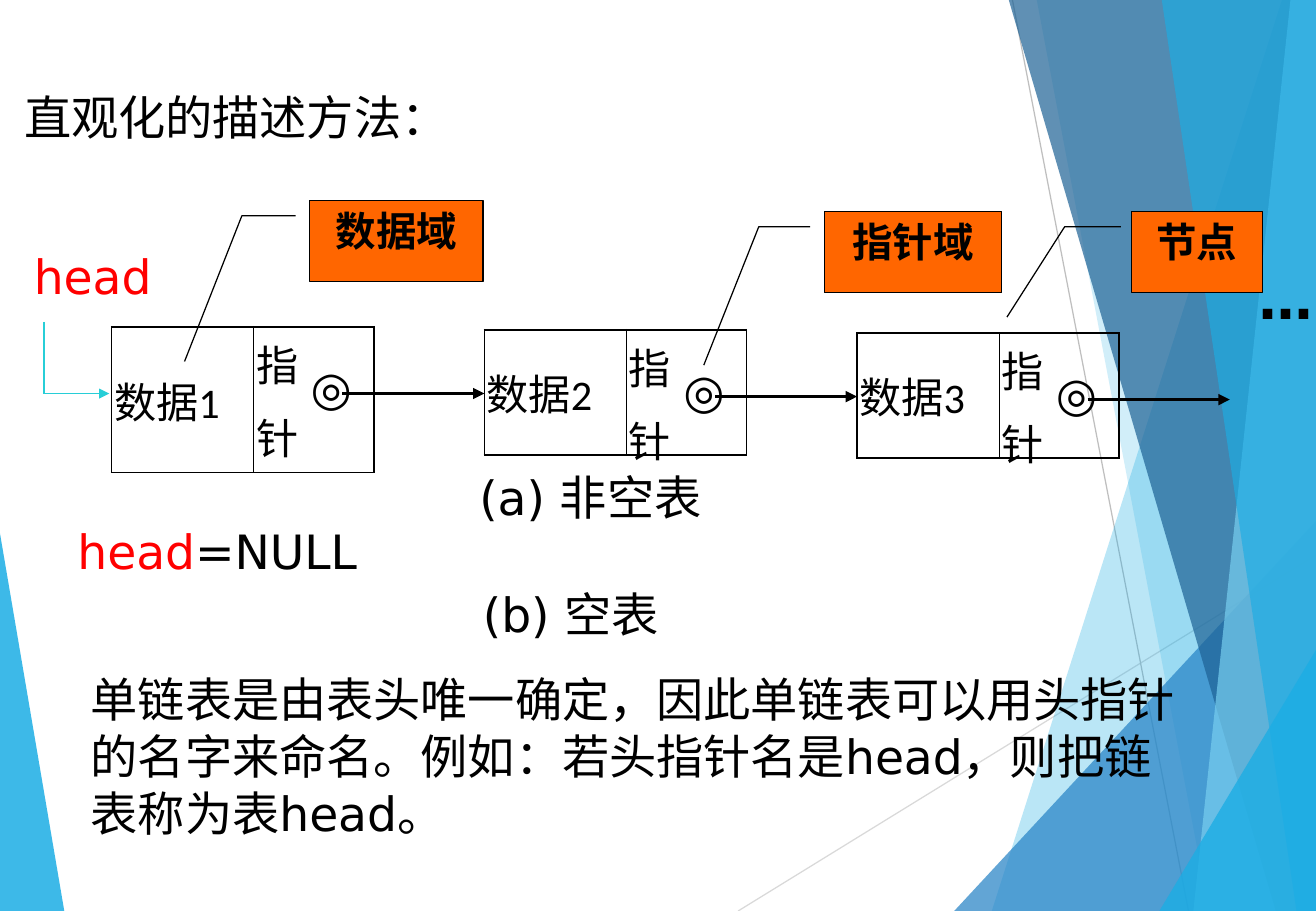
from dataclasses import dataclass

from lxml import etree
from pptx import Presentation
from pptx.dml.color import RGBColor
from pptx.enum.shapes import MSO_CONNECTOR, MSO_SHAPE
from pptx.enum.text import MSO_ANCHOR, MSO_AUTO_SIZE, PP_ALIGN
from pptx.oxml.ns import qn
from pptx.util import Inches, Pt

STRAIGHT = MSO_CONNECTOR.STRAIGHT
CALLOUT = MSO_SHAPE.LINE_CALLOUT_2
TOP, MIDDLE = MSO_ANCHOR.TOP, MSO_ANCHOR.MIDDLE
LEFT, CENTER = PP_ALIGN.LEFT, PP_ALIGN.CENTER
FIT_SHAPE = MSO_AUTO_SIZE.SHAPE_TO_FIT_TEXT
WIDTH, HEIGHT = 10.84, 7.5


@dataclass(frozen=True)
class Theme:
    ink: str = "000000"
    accent: str = "FF0000"
    label_fill: str = "FF6600"
    head_line: str = "27CED7"
    sky: str = "1CADE4"
    pale: str = "77CEEF"
    blue: str = "2683C6"
    navy: str = "1D6295"
    light_gray: str = "D9D9D9"
    gray: str = "BFBFBF"
    body_font: str = "DejaVu Sans"
    cell_font: str = "Calibri"
    label_font: str = "Arial"
    ring_font: str = "Times New Roman"
    body_size: float = 28
    cell_size: float = 25
    label_size: float = 24
    dots_size: float = 32
    body_space: float = 17.5
    cell_space: float = 7


THEME = Theme()


def rgb(color):
    return RGBColor.from_string(color)


def write_text(frame, paragraphs, *, size=THEME.body_size, font=THEME.body_font,
               color=THEME.ink, bold=False, align=LEFT, before=0):
    """Each paragraph is a string or a list of (text, color) spans."""
    for index, content in enumerate(paragraphs):
        para = frame.add_paragraph() if index else frame.paragraphs[0]
        para.alignment = align
        para.space_before = Pt(before)
        spans = [(content, color)] if isinstance(content, str) else content
        for text, span_color in spans:
            span = para.add_run()
            span.text = text
            span.font.size = Pt(size)
            span.font.name = font
            span.font.bold = bold
            span.font.color.rgb = rgb(span_color)


def add_text(page, text, left, top, width, height, wrap=True, **style):
    box = page.shapes.add_textbox(Inches(left), Inches(top), Inches(width), Inches(height))
    box.text_frame.word_wrap = wrap
    box.text_frame.auto_size = FIT_SHAPE
    write_text(box.text_frame, [text], **style)


def add_line(page, start, end, color, weight, arrow=False):
    line = page.shapes.add_connector(STRAIGHT, *map(Inches, start + end))
    line.line.color.rgb = rgb(color)
    line.line.width = Pt(weight)
    properties = line._element.spPr
    if arrow:
        etree.SubElement(properties.find(qn("a:ln")), qn("a:tailEnd"), type="triangle")
    etree.SubElement(properties, qn("a:effectLst"))


def add_facet(page, points, color, opacity):
    corners = [(Inches(x), Inches(y)) for x, y in points]
    builder = page.shapes.build_freeform(*corners[0])
    builder.add_line_segments(corners[1:], close=True)
    facet = builder.convert_to_shape()
    facet.shadow.inherit = False
    facet.line.fill.background()
    facet.fill.solid()
    facet.fill.fore_color.rgb = rgb(color)
    tint = facet._element.spPr.find(qn("a:solidFill"))[0]
    etree.SubElement(tint, qn("a:alpha"), val=str(opacity * 1000))


def set_borders(cell, **weights):
    properties = cell._tc.get_or_add_tcPr()
    for side, weight in weights.items():
        border = etree.SubElement(properties, qn(f"a:ln{side}"), w=str(Pt(weight)))
        paint = etree.SubElement(border, qn("a:solidFill"))
        etree.SubElement(paint, qn("a:srgbClr"), val=THEME.ink)


def add_node(page, data, left, top):
    """A node: data cell, pointer cell, ring and outgoing arrow."""
    widths, outer, inner = (1.17, 0.99), 1.08, 0.45
    table = page.shapes.add_table(1, 2, Inches(left), Inches(top),
                                  Inches(sum(widths)), Inches(1.01)).table
    table.first_row = table.horz_banding = False
    contents = ([data], ["指", "针"])
    sides = ((outer, inner), (inner, outer))
    for index, (width, paragraphs, (west, east)) in enumerate(zip(widths, contents, sides)):
        table.columns[index].width = Inches(width)
        cell = table.cell(0, index)
        cell.vertical_anchor = MIDDLE
        cell.margin_left = cell.margin_right = Inches(0.02)
        set_borders(cell, L=west, R=east, T=outer, B=outer)
        cell.fill.background()
        write_text(cell.text_frame, paragraphs, size=THEME.cell_size,
                   font=THEME.cell_font, before=THEME.cell_space)
    arrow_y = top + 0.55
    add_line(page, (left + 1.9, arrow_y), (left + 3.07, arrow_y), THEME.ink, 2.25, arrow=True)
    add_text(page, "◎", left + 1.54, top + 0.21, 0.59, 0.57, wrap=False, font=THEME.ring_font)


def add_callout(page, text, left, top, width, bend, tip):
    """Bend is an x fraction, tip an (x, y) fraction of the label's size."""
    label = page.shapes.add_shape(CALLOUT, Inches(left), Inches(top), Inches(width), Inches(0.67))
    tip_x, tip_y = tip
    for index, value in enumerate((0.19, -0.08, 0.19, bend, tip_y, tip_x)):
        label.adjustments[index] = value
    label.shadow.inherit = False
    label.fill.solid()
    label.fill.fore_color.rgb = rgb(THEME.label_fill)
    label.line.color.rgb = rgb(THEME.ink)
    label.line.width = Pt(0.75)
    label.text_frame.vertical_anchor = TOP
    write_text(label.text_frame, [text], size=THEME.label_size, font=THEME.label_font,
               bold=True, align=CENTER)


def add_background(page):
    add_facet(page, [(0, 4.39), (0.53, HEIGHT), (0, HEIGHT)], THEME.sky, 85)
    add_line(page, (6.08, HEIGHT), (WIDTH, 4.57), THEME.light_gray, 0.75)
    add_line(page, (8.34, 0), (9.79, HEIGHT), THEME.gray, 0.75)
    # Facets that reach the right edge: top x, bottom x, color, opacity
    top_right, bottom_right = (WIDTH, 0), (WIDTH, HEIGHT)

    def add_band(top_x, bottom_x, color, opacity):
        points = [(top_x, 0), (bottom_x, HEIGHT), bottom_right, top_right]
        add_facet(page, points, color, opacity)

    def add_corner(left, top, color, opacity):
        add_facet(page, [(left, HEIGHT), (WIDTH, top), bottom_right], color, opacity)

    add_band(10.56, 8.17, THEME.sky, 30)
    add_band(8.54, 9.96, THEME.sky, 20)
    add_corner(7.86, 4.29, THEME.blue, 72)
    add_band(8.31, 10.51, THEME.navy, 70)
    add_band(10.63, 9.83, THEME.pale, 70)
    add_band(9.57, 10.68, THEME.sky, 65)
    add_corner(9.55, 5.35, THEME.sky, 80)


def main():
    deck = Presentation()
    deck.slide_width, deck.slide_height = Inches(WIDTH), Inches(HEIGHT)
    page = deck.slides.add_slide(deck.slide_layouts[6])
    add_background(page)

    # Linked nodes
    for index in range(3):
        add_node(page, f"数据{index + 1}", 0.92 + 3.07 * index, 2.69 + 0.025 * index)

    # Labels
    add_callout(page, "数据域", 2.55, 1.65, 1.43, -0.39, (-0.72, 1.98))
    add_callout(page, "指针域", 6.79, 1.74, 1.46, -0.37, (-0.68, 1.89))
    add_text(page, "…", 10.27, 2.14, 0.58, 0.64, wrap=False, size=THEME.dots_size, bold=True)
    add_callout(page, "节点", 9.32, 1.74, 1.08, -0.51, (-0.95, 1.3))

    # Head pointer
    add_line(page, (0.36, 3.24), (0.9, 3.24), THEME.head_line, 1, arrow=True)
    add_line(page, (0.36, 2.65), (0.36, 3.24), THEME.head_line, 1)

    # Title, captions and explanation
    head = ("head", THEME.accent)
    for text, left, top, width, height in (
        ("直观化的描述方法：", 0.1, 0.68, 6.05, 0.57),
        ("单链表是由表头唯一确定，因此单链表可以用头指针的名字来命名。"
         "例如：若头指针名是head，则把链表称为表head。", 0.65, 5.47, 9.3, 1.5),
        ([head], 0.18, 1.99, 1.81, 0.57),
        ("(a) 非空表", 3.85, 3.81, 5.06, 0.57),
        ([head, ("=NULL", THEME.ink)], 0.54, 4.25, 4.24, 0.57),
        ("(b) 空表", 3.88, 4.77, 5.06, 0.57),
    ):
        add_text(page, text, left, top, width, height, before=THEME.body_space)

    deck.save("out.pptx")


if __name__ == "__main__":
    main()
